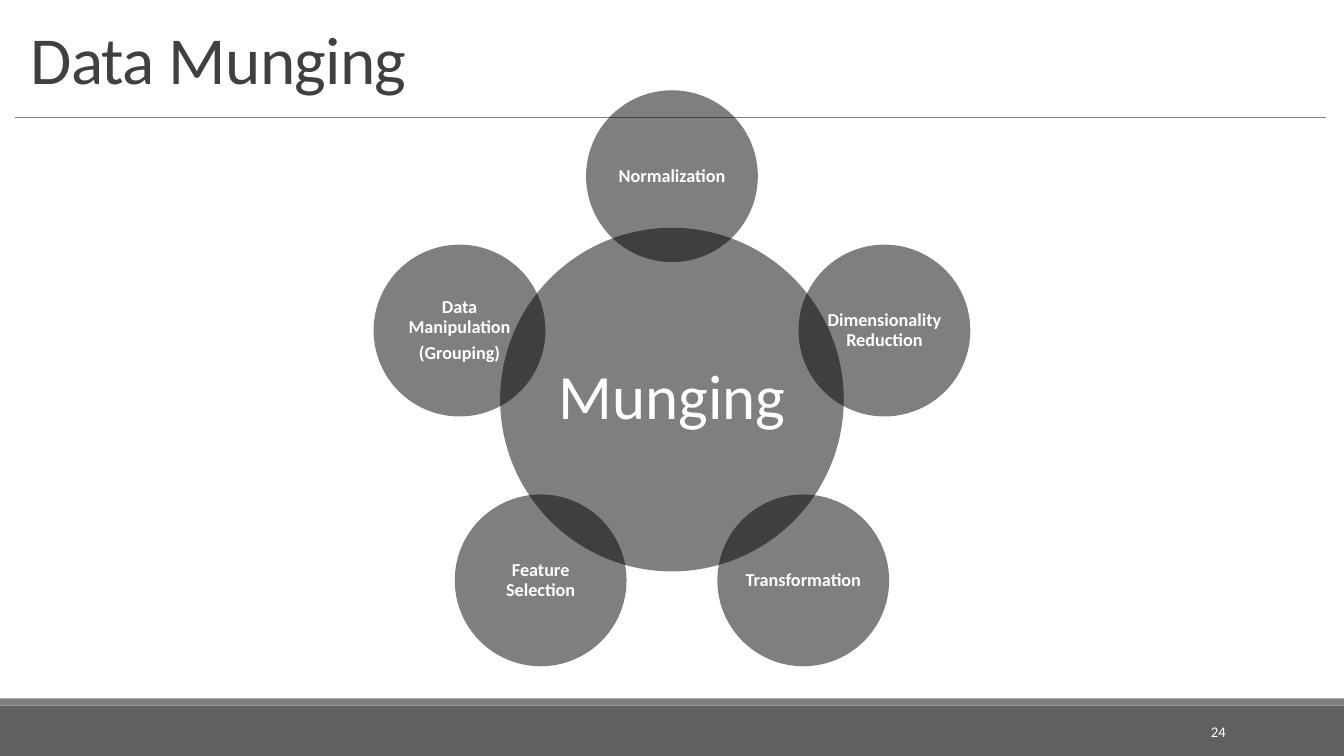
from math import cos, pi, sin

from lxml.etree import SubElement
from pptx import Presentation
from pptx.dml.color import RGBColor
from pptx.enum.shapes import MSO_CONNECTOR, MSO_SHAPE
from pptx.enum.text import MSO_ANCHOR, PP_ALIGN
from pptx.oxml.ns import qn
from pptx.util import Cm, Pt

TITLE = "Data Munging"
PAGE_NUMBER = "24"
HUB = ["Munging"]
# Clockwise from the top; each entry lists the paragraphs of one circle
SATELLITES = [
    ["Normalization"],
    ["Dimensionality Reduction"],
    ["Transformation"],
    ["Feature Selection"],
    ["Data Manipulation", "(Grouping)"],
]

FONT = "Calibri"
SLIDE_WIDTH, SLIDE_HEIGHT = 33.87, 19.05
FOOTER_TOP, BAND_HEIGHT = 17.78, 0.18
CENTER_X, CENTER_Y = SLIDE_WIDTH / 2, 10.07
HUB_DIAMETER = 8.66
SATELLITE_DIAMETER = HUB_DIAMETER / 2
ORBIT_RADIUS = 5.63


def color(hex_value):
    return RGBColor.from_string(hex_value)


def write(shape, lines, size, hex_value, align, anchor, bold=False, line_spacing=1.0):
    frame = shape.text_frame
    frame.word_wrap = True
    frame.vertical_anchor = anchor
    frame.text = "\n".join(lines)
    for index, paragraph in enumerate(frame.paragraphs):
        paragraph.alignment = align
        paragraph.line_spacing = line_spacing
        if index:
            paragraph.space_before = Pt(size * 0.35)
        for run in paragraph.runs:
            run.font.name = FONT
            run.font.size = Pt(size)
            run.font.bold = bold
            run.font.color.rgb = color(hex_value)


def add_filled(slide, kind, left, top, width, height, hex_value):
    shape = slide.shapes.add_shape(kind, Cm(left), Cm(top), Cm(width), Cm(height))
    shape.shadow.inherit = False
    shape.fill.solid()
    shape.fill.fore_color.rgb = color(hex_value)
    shape.line.fill.background()
    return shape


def add_circle(slide, center_x, center_y, diameter, lines, size, inset, bold):
    """Add a half-transparent black circle with centred white text."""
    circle = add_filled(slide, MSO_SHAPE.OVAL, center_x - diameter / 2,
                        center_y - diameter / 2, diameter, diameter, "000000")
    fill_color = circle.fill._xPr.find(qn("a:solidFill"))[0]
    SubElement(fill_color, qn("a:alpha"), val="50000")
    frame = circle.text_frame
    frame.margin_left = frame.margin_right = Cm(inset)
    frame.margin_top = frame.margin_bottom = Cm(inset)
    write(circle, lines, size, "FFFFFF", PP_ALIGN.CENTER, MSO_ANCHOR.MIDDLE, bold, 0.9)


def add_frame(slide):
    """Add the footer, title rule, title and page number."""
    add_filled(slide, MSO_SHAPE.RECTANGLE, 0, FOOTER_TOP, SLIDE_WIDTH,
               SLIDE_HEIGHT - FOOTER_TOP, "606060")
    add_filled(slide, MSO_SHAPE.RECTANGLE, 0, FOOTER_TOP - BAND_HEIGHT, SLIDE_WIDTH,
               BAND_HEIGHT, "808080")

    rule = slide.shapes.add_connector(MSO_CONNECTOR.STRAIGHT, Cm(0.38), Cm(2.96),
                                      Cm(33.42), Cm(2.96))
    rule.line.color.rgb = color("808080")
    rule.line.width = Pt(0.5)
    SubElement(rule._element.spPr, qn("a:effectLst"))

    title = slide.shapes.add_textbox(Cm(0.52), Cm(0.38), Cm(32.84), Cm(2.21))
    write(title, [TITLE], 48, "404040", PP_ALIGN.LEFT, MSO_ANCHOR.BOTTOM, line_spacing=0.85)
    title.text_frame.paragraphs[0].runs[0].font._element.set("spc", "-50")

    number = slide.shapes.add_textbox(Cm(27.5), Cm(17.93), Cm(3.64), Cm(1.02))
    write(number, [PAGE_NUMBER], 10.5, "FFFFFF", PP_ALIGN.RIGHT, MSO_ANCHOR.MIDDLE)


def add_diagram(slide):
    add_circle(slide, CENTER_X, CENTER_Y, HUB_DIAMETER, HUB, 45, 0.15, False)
    for index, lines in enumerate(SATELLITES):
        angle = 2 * pi * index / len(SATELLITES)
        add_circle(slide, CENTER_X + ORBIT_RADIUS * sin(angle),
                   CENTER_Y - ORBIT_RADIUS * cos(angle),
                   SATELLITE_DIAMETER, lines, 13, 0.05, True)


def main():
    presentation = Presentation()
    presentation.slide_width = Cm(SLIDE_WIDTH)
    presentation.slide_height = Cm(SLIDE_HEIGHT)
    slide = presentation.slides.add_slide(presentation.slide_layouts[6])
    add_frame(slide)
    add_diagram(slide)
    presentation.save("out.pptx")


if __name__ == "__main__":
    main()
